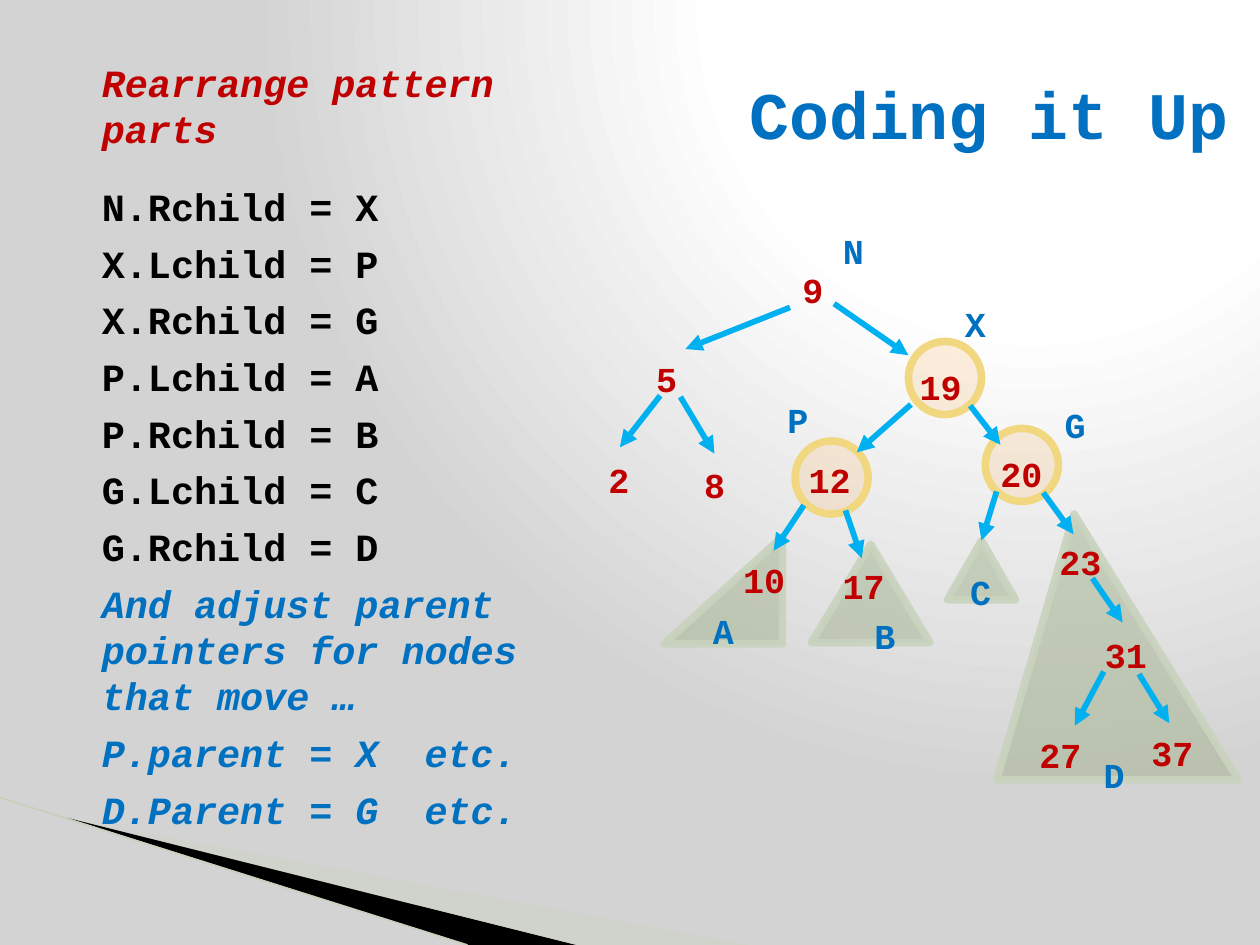
from pptx import Presentation
from pptx.dml.color import RGBColor
from pptx.enum.shapes import MSO_CONNECTOR, MSO_SHAPE
from pptx.enum.text import MSO_ANCHOR, PP_ALIGN
from pptx.oxml import parse_xml
from pptx.oxml.ns import nsdecls, qn
from pptx.oxml.xmlchemy import OxmlElement
from pptx.util import Inches, Pt

COLORS = {
    "white": "FFFFFF", "gray": "D3D3D3", "black": "000000",
    "red": "C00000", "blue": "0070C0", "arrow": "00B0F0",
    "node": "F8C891", "ring": "F1D77F",
    "subtree": "A5B592", "edge": "C9D3BE",
    "wedge": "CBD4C0", "hairline": "C6D0BB",
}
FONT = "Courier New"


class TreeSlide:
    """Draws the parts of a tree rotation slide in one style."""

    def __init__(self, slide):
        self.slide = slide
        self.shapes = slide.shapes

    def background(self, stops):
        fill = self.slide.background.fill
        fill.solid()
        solid = self.slide.element.find(".//" + qn("a:solidFill"))
        marks = "".join(
            f'<a:gs pos="{percent * 1000}"><a:srgbClr val="{COLORS[color]}"/></a:gs>'
            for percent, color in stops
        )
        gradient = parse_xml(
            f'<a:gradFill {nsdecls("a")} rotWithShape="1"><a:gsLst>{marks}</a:gsLst>'
            '<a:path path="circle"><a:fillToRect l="65000" b="98000"/></a:path></a:gradFill>'
        )
        solid.getparent().replace(solid, gradient)

    def set_alpha(self, parent, percent):
        alpha = OxmlElement("a:alpha")
        alpha.set("val", str(percent * 1000))
        parent.find(qn("a:solidFill")).find(qn("a:srgbClr")).append(alpha)

    def paint(self, shape, fill, opacity=100, line=None, line_opacity=100):
        shape.shadow.inherit = False
        shape.fill.solid()
        shape.fill.fore_color.rgb = RGBColor.from_string(COLORS[fill])
        properties = shape.element.spPr
        if opacity < 100:
            self.set_alpha(properties, opacity)
        if line is None:
            shape.line.fill.background()
            return
        shape.line.width = Pt(4.33)
        shape.line.color.rgb = RGBColor.from_string(COLORS[line])
        outline = properties.find(qn("a:ln"))
        if line_opacity < 100:
            self.set_alpha(outline, line_opacity)
        outline.append(OxmlElement("a:round"))

    def polygon(self, points, fill, opacity=100):
        corners = [(Inches(x), Inches(y)) for x, y in points]
        builder = self.shapes.build_freeform(*corners[0])
        builder.add_line_segments(corners[1:], close=True)
        self.paint(builder.convert_to_shape(), fill, opacity)

    def ring(self, left, top):
        circle = self.shapes.add_shape(
            MSO_SHAPE.OVAL, Inches(left), Inches(top), Inches(0.58), Inches(0.58))
        self.paint(circle, "node", 30, "ring")

    def subtree(self, left, top, width, height, apex=0.5):
        triangle = self.shapes.add_shape(
            MSO_SHAPE.ISOSCELES_TRIANGLE,
            Inches(left), Inches(top), Inches(width), Inches(height))
        triangle.adjustments[0] = apex
        self.paint(triangle, "subtree", 54, "edge", 90)

    def line(self, x1, y1, x2, y2, color="arrow", width=3.25, arrow=True):
        link = self.shapes.add_connector(
            MSO_CONNECTOR.STRAIGHT, Inches(x1), Inches(y1), Inches(x2), Inches(y2))
        link.line.width = Pt(width)
        link.line.color.rgb = RGBColor.from_string(COLORS[color])
        properties = link.element.spPr
        if arrow:
            tail = OxmlElement("a:tailEnd")
            tail.set("type", "triangle")
            properties.find(qn("a:ln")).append(tail)
        properties.append(OxmlElement("a:effectLst"))

    def text(self, left, top, width, height, anchor=MSO_ANCHOR.TOP):
        box = self.shapes.add_textbox(
            Inches(left), Inches(top), Inches(width), Inches(height))
        frame = box.text_frame
        frame.word_wrap = True
        frame.vertical_anchor = anchor
        return frame

    def run(self, paragraph, words, size, color, italic=False):
        run = paragraph.add_run()
        run.text = words
        font = run.font
        font.name, font.size = FONT, Pt(size)
        font.bold, font.italic = True, italic
        font.color.rgb = RGBColor.from_string(COLORS[color])

    def label(self, words, left, top, width, color):
        frame = self.text(left, top, width, 0.44)
        self.run(frame.paragraphs[0], words, 20, color)

    def title(self, words):
        frame = self.text(4.81, 0.27, 5.04, 1.25, MSO_ANCHOR.MIDDLE)
        frame.paragraphs[0].alignment = PP_ALIGN.RIGHT
        self.run(frame.paragraphs[0], words, 38, "blue")

    def steps(self, rows):
        frame = self.text(0.59, 0.42, 4.02, 6.09)
        for index, (words, color, italic, gap) in enumerate(rows):
            paragraph = frame.add_paragraph() if index else frame.paragraphs[0]
            paragraph._p.get_or_add_pPr().set("marL", str(Inches(0.12)))
            if index:
                paragraph.space_before = Pt(gap)
            self.run(paragraph, words, 22, color, italic)


SUBTREES = [
    (5.27, 4.26, 0.94, 0.85, 1), (7.52, 4.29, 0.54, 0.47),
    (6.44, 4.32, 0.94, 0.78), (7.91, 4.08, 1.92, 2.11, 0.32),
]
RINGS = [(6.31, 3.5), (7.82, 3.4), (7.21, 2.71)]
ARROWS = [
    (6.62, 2.41, 7.21, 2.82), (7.23, 3.21, 6.8, 3.59), (6.27, 2.44, 5.44, 2.77),
    (5.24, 3.14, 4.92, 3.55), (5.4, 3.15, 5.67, 3.6), (8.28, 3.91, 8.52, 4.24),
    (8.67, 4.59, 8.91, 4.94), (9.04, 5.35, 9.28, 5.74), (8.76, 5.33, 8.53, 5.76),
    (6.38, 4.01, 6.14, 4.37), (7.7, 3.22, 7.94, 3.53), (6.71, 4.05, 6.84, 4.43),
    (7.91, 3.9, 7.79, 4.29),
]
VALUES = [
    ("9", 6.27, 2.08, 0.56), ("5", 5.11, 2.79, 0.44), ("2", 4.73, 3.59, 0.42),
    ("8", 5.49, 3.63, 0.44), ("19", 7.2, 2.85, 0.66), ("12", 6.32, 3.59, 0.66),
    ("20", 7.84, 3.54, 0.65), ("10", 5.8, 4.38, 0.66), ("17", 6.59, 4.43, 0.66),
    ("23", 8.31, 4.24, 0.66), ("31", 8.67, 4.98, 0.61), ("27", 8.15, 5.77, 0.61),
    ("37", 9.04, 5.76, 0.55),
]
NAMES = [
    ("N", 6.59, 1.77), ("X", 7.56, 2.35), ("P", 6.15, 3.11), ("G", 8.35, 3.15),
    ("A", 5.56, 4.79), ("B", 6.84, 4.83), ("C", 7.6, 4.48), ("D", 8.66, 5.93),
]
ASSIGNMENTS = [
    "N.Rchild = X", "X.Lchild = P", "X.Rchild = G", "P.Lchild = A",
    "P.Rchild = B", "G.Lchild = C", "G.Rchild = D",
]
PARENT_NOTES = [
    "And adjust parent pointers for nodes that move …",
    "P.parent = X  etc.", "D.Parent = G  etc.",
]


def main():
    deck = Presentation()
    deck.slide_width, deck.slide_height = Inches(10), Inches(7.5)
    tree = TreeSlide(deck.slides.add_slide(deck.slide_layouts[6]))
    tree.background([(0, "white"), (40, "white"), (100, "gray")])
    tree.polygon([(0.55, 6.5), (5.95, 7.5), (4.56, 7.5)], "wedge", 40)
    tree.polygon([(0.53, 6.49), (4.57, 7.5), (3.72, 7.5)], "black")
    tree.line(0, 6.33, 3.71, 7.5, "hairline", 0.95, arrow=False)

    rows = [("Rearrange pattern parts", "red", True, 0)]
    rows += [(step, "black", False, 6 if i else 18) for i, step in enumerate(ASSIGNMENTS)]
    rows += [(note, "blue", True, 6) for note in PARENT_NOTES]
    tree.steps(rows)
    tree.title("Coding it Up")

    for place in SUBTREES:
        tree.subtree(*place)
    for place in RINGS:
        tree.ring(*place)
    for ends in ARROWS:
        tree.line(*ends)
    for value in VALUES:
        tree.label(*value, "red")
    for name in NAMES:
        tree.label(*name, 0.49, "blue")
    deck.save("out.pptx")


if __name__ == "__main__":
    main()
